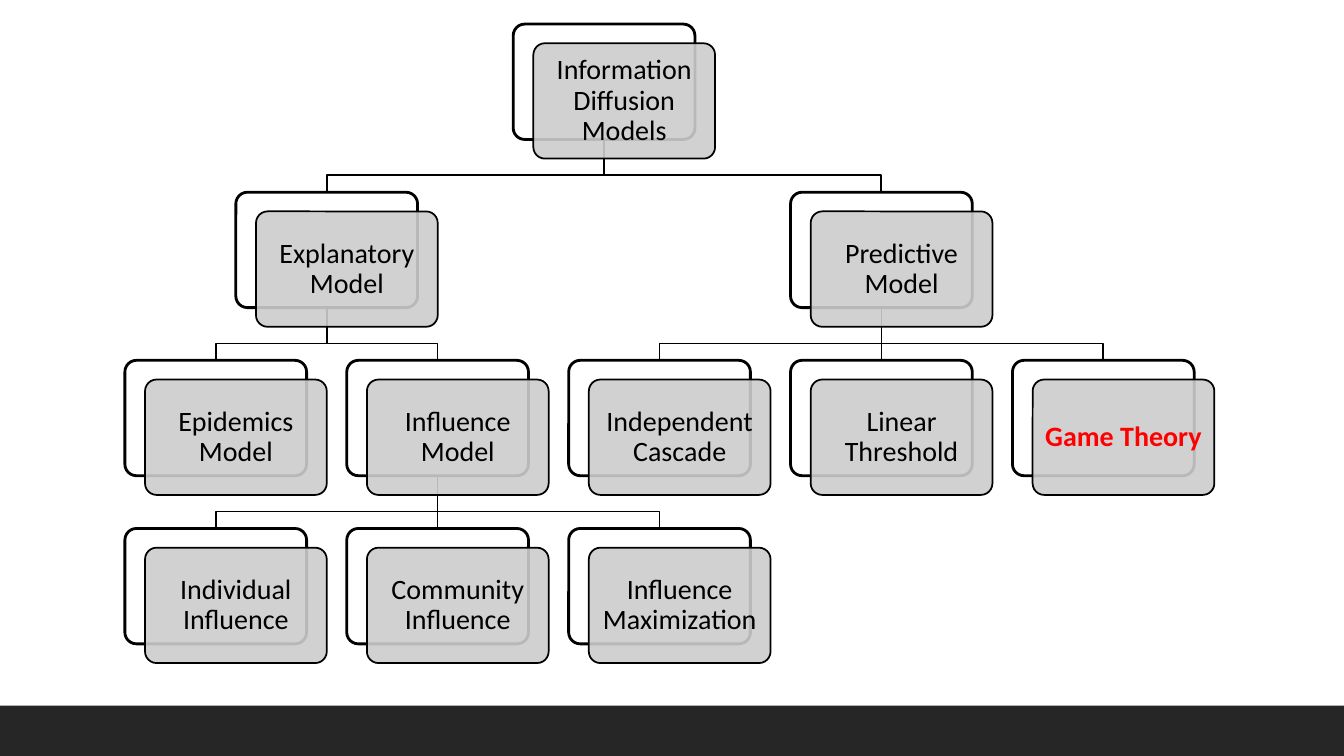
from dataclasses import dataclass
from typing import Iterator

from lxml.etree import SubElement
from pptx import Presentation
from pptx.dml.color import RGBColor
from pptx.enum.shapes import MSO_CONNECTOR as Connector
from pptx.enum.shapes import MSO_SHAPE as ShapeKind
from pptx.enum.text import MSO_ANCHOR as Anchor
from pptx.enum.text import PP_ALIGN as Align
from pptx.oxml.ns import qn
from pptx.shapes.autoshape import Shape
from pptx.shapes.shapetree import SlideShapes
from pptx.util import Pt

SLIDE_WIDTH, SLIDE_HEIGHT = 960, 540
FOOTER_HEIGHT = 36
BOX_WIDTH, BOX_HEIGHT = 129.8, 82.4
FIRST_LEFT, FIRST_TOP = 89.2, 17.2
COLUMN_PITCH, ROW_PITCH = 158.5, 120.1
FRONT_SHIFT_X, FRONT_SHIFT_Y = 14.4, 13.7
ELBOW_DROP = 25.6
TEXT_INSET = 5.75


@dataclass(frozen=True)
class Theme:
    font: str = "Calibri"
    text_size: float = 20
    back_line: float = 2
    thin_line: float = 1.25
    opacity_percent: int = 90
    ink: RGBColor = RGBColor(0x00, 0x00, 0x00)
    highlight: RGBColor = RGBColor(0xFF, 0x00, 0x00)
    back_fill: RGBColor = RGBColor(0xFF, 0xFF, 0xFF)
    front_fill: RGBColor = RGBColor(0xCC, 0xCC, 0xCC)
    footer: RGBColor = RGBColor(0x26, 0x26, 0x26)


THEME = Theme()


@dataclass(frozen=True)
class Model:
    label: str
    leaf_column: float = 0
    children: tuple["Model", ...] = ()
    highlighted: bool = False

    @property
    def column(self) -> float:
        """Centre a parent over its first and last child."""
        if not self.children:
            return self.leaf_column
        return (self.children[0].column + self.children[-1].column) / 2

    @property
    def left(self) -> float:
        return FIRST_LEFT + self.column * COLUMN_PITCH

    @property
    def centre(self) -> float:
        return self.left + BOX_WIDTH / 2


MODELS = Model("Information Diffusion Models", children=(
    Model("Explanatory Model", children=(
        Model("Epidemics Model", 0),
        Model("Influence Model", children=(
            Model("Individual Influence", 0),
            Model("Community Influence", 1),
            Model("Influence Maximization", 2),
        )),
    )),
    Model("Predictive Model", children=(
        Model("Independent Cascade", 2),
        Model("Linear Threshold", 3),
        Model("Game Theory", 4, highlighted=True),
    )),
))


def row_top(level: int) -> float:
    return FIRST_TOP + level * ROW_PITCH


def walk(model: Model, level: int = 0) -> Iterator[tuple[Model, int]]:
    """Yield every model of the tree with its level."""
    yield model, level
    for child in model.children:
        yield from walk(child, level + 1)


def add_box(shapes: SlideShapes, left: float, top: float,
            fill: RGBColor, line_width: float) -> Shape:
    box = shapes.add_shape(ShapeKind.ROUNDED_RECTANGLE, Pt(left), Pt(top),
                           Pt(BOX_WIDTH), Pt(BOX_HEIGHT))
    box.adjustments[0] = 0.1
    box.shadow.inherit = False
    box.fill.solid()
    box.fill.fore_color.rgb = fill
    box.line.color.rgb = THEME.ink
    box.line.width = Pt(line_width)
    return box


def add_front_box(shapes: SlideShapes, model: Model, level: int) -> None:
    box = add_box(shapes, model.left + FRONT_SHIFT_X, row_top(level) + FRONT_SHIFT_Y,
                  THEME.front_fill, THEME.thin_line)
    color = box.fill._xPr.find(qn("a:solidFill"))[0]
    SubElement(color, qn("a:alpha"), val=str(THEME.opacity_percent * 1000))

    frame = box.text_frame
    frame.word_wrap = True
    frame.vertical_anchor = Anchor.MIDDLE
    frame.margin_left = frame.margin_right = Pt(TEXT_INSET)
    frame.margin_top = frame.margin_bottom = Pt(TEXT_INSET)
    paragraph = frame.paragraphs[0]
    paragraph.text = model.label
    paragraph.alignment = Align.CENTER
    paragraph.line_spacing = 0.9
    paragraph.font.name = THEME.font
    paragraph.font.size = Pt(THEME.text_size)
    paragraph.font.bold = model.highlighted
    paragraph.font.color.rgb = THEME.highlight if model.highlighted else THEME.ink


def add_straight_branch(shapes: SlideShapes, parent_box: Shape, child_box: Shape) -> None:
    branch = shapes.add_connector(Connector.STRAIGHT, 0, 0, 0, 0)
    branch.begin_connect(parent_box, 2)
    branch.end_connect(child_box, 0)
    branch.line.color.rgb = THEME.ink
    branch.line.width = Pt(THEME.thin_line)
    SubElement(branch._element.spPr, qn("a:effectLst"))


def add_elbow_branch(shapes: SlideShapes, parent: Model, child: Model, level: int) -> None:
    start = row_top(level) + BOX_HEIGHT
    elbow = start + ELBOW_DROP
    builder = shapes.build_freeform(Pt(parent.centre), Pt(start))
    builder.add_line_segments([
        (Pt(parent.centre), Pt(elbow)),
        (Pt(child.centre), Pt(elbow)),
        (Pt(child.centre), Pt(row_top(level + 1))),
    ], close=False)
    branch = builder.convert_to_shape()
    branch.shadow.inherit = False
    branch.fill.background()
    branch.line.color.rgb = THEME.ink
    branch.line.width = Pt(THEME.thin_line)


def add_footer(shapes: SlideShapes) -> None:
    footer = shapes.add_shape(ShapeKind.RECTANGLE, 0, Pt(SLIDE_HEIGHT - FOOTER_HEIGHT),
                              Pt(SLIDE_WIDTH), Pt(FOOTER_HEIGHT))
    footer.shadow.inherit = False
    footer.fill.solid()
    footer.fill.fore_color.rgb = THEME.footer
    footer.line.fill.background()


def add_tree(shapes: SlideShapes, root: Model) -> None:
    placed = list(walk(root))
    back_boxes = {
        model: add_box(shapes, model.left, row_top(level), THEME.back_fill, THEME.back_line)
        for model, level in placed
    }
    for parent, level in placed:
        for child in parent.children:
            if child.column == parent.column:
                add_straight_branch(shapes, back_boxes[parent], back_boxes[child])
            else:
                add_elbow_branch(shapes, parent, child, level)
    for model, level in placed:
        add_front_box(shapes, model, level)


def main() -> None:
    presentation = Presentation()
    presentation.slide_width = Pt(SLIDE_WIDTH)
    presentation.slide_height = Pt(SLIDE_HEIGHT)
    slide = presentation.slides.add_slide(presentation.slide_layouts[6])
    add_footer(slide.shapes)
    add_tree(slide.shapes, MODELS)
    presentation.save("out.pptx")


if __name__ == "__main__":
    main()
